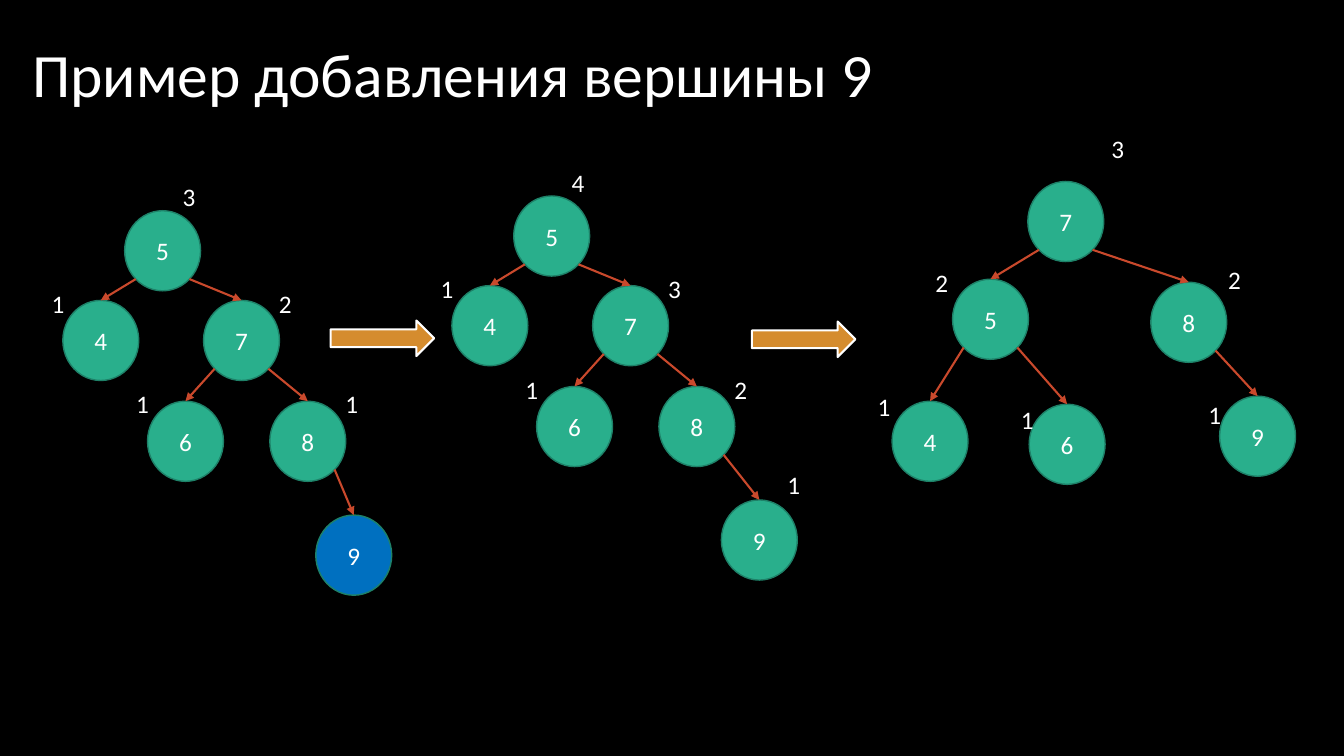
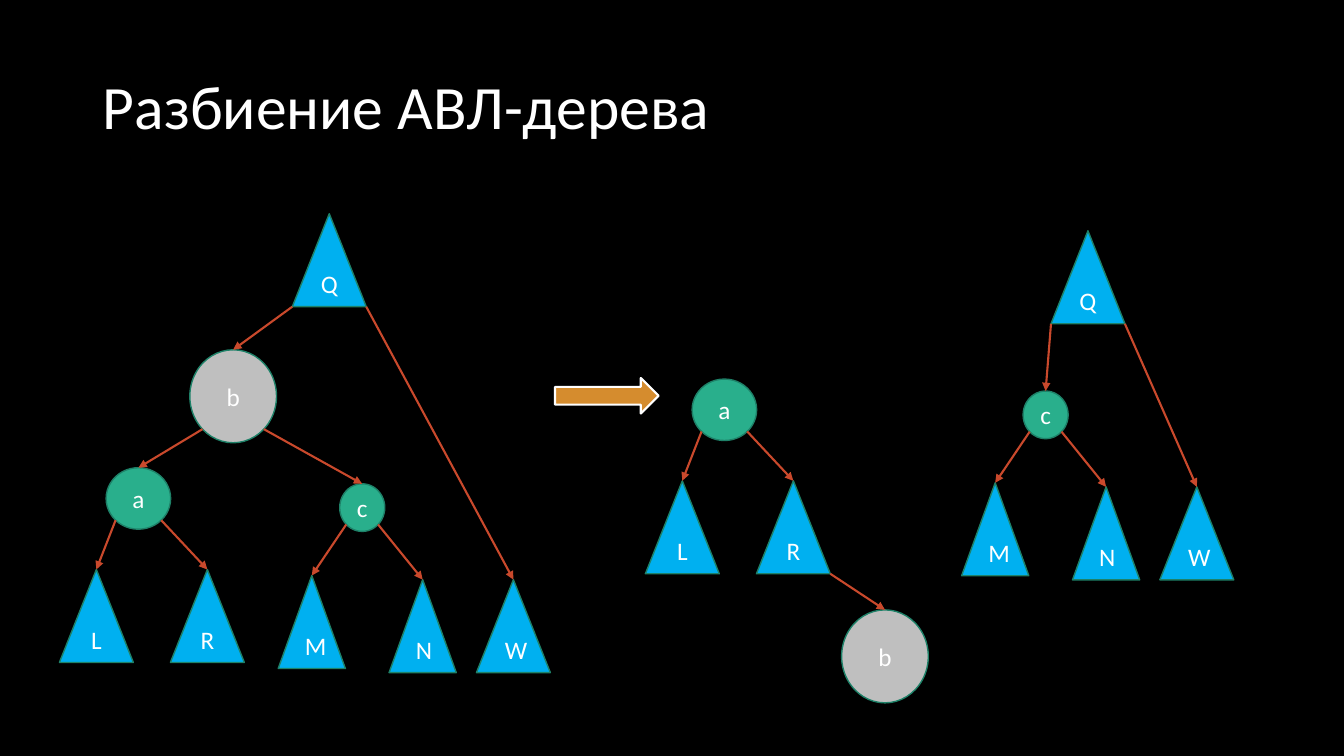
from math import sqrt

from lxml.etree import SubElement
from pptx import Presentation
from pptx.dml.color import RGBColor
from pptx.enum.shapes import MSO_CONNECTOR, MSO_SHAPE
from pptx.enum.text import MSO_ANCHOR, MSO_AUTO_SIZE, PP_ALIGN
from pptx.oxml.ns import qn
from pptx.util import Inches, Pt

WIDE, HIGH = Inches(13.333), Inches(7.5)
FONT = "Calibri"
BLACK, WHITE = "000000", "FFFFFF"
GREEN, RIM, BLUE, SKY, GRAY = "29AF8C", "1E8168", "0070C0", "00B0F0", "BFBFBF"
RED, GOLD = "C9492C", "D58C2E"
DISC, WEDGE = MSO_SHAPE.OVAL, MSO_SHAPE.ISOSCELES_TRIANGLE

# All places and sizes below are percentages of the slide's width and height.
# A node is given by the middle and the height of its top.
BALL = (DISC, 5.65, 10.6, GREEN)
NEW = (DISC, 5.65, 10.6, BLUE)
TENT = (WEDGE, 5.5, 12.3, SKY)
SLIM = (WEDGE, 5, 12.3, SKY)
KINDS = {
    "a": (DISC, 4.8, 8.13, GREEN),
    "b": (DISC, 6.45, 12.3, GRAY),
    "c": (DISC, 3.35, 6.3, GREEN),
    "M": SLIM, "N": SLIM,
    "L": TENT, "R": TENT, "W": TENT, "Q": TENT,
}

FIRST = {"5": (12.1, 27.87), "6": (13.8, 53.07), "4": (7.5, 39.73),
         "7": (17.97, 39.73), "8": (22.9, 53.07)}
LAST = {"7": (79.3, 24), "5": (73.7, 36.93), "4": (69.2, 53.07),
        "6": (79.4, 53.47), "8": (88.45, 37.33), "9": (93.57, 52.4)}
SIDES = {"5": (2, -4.5), "4": (-3.15, -2.3), "6": (-3.15, -2.3),
         "7": (3.3, -2.3), "8": (3.3, -2.3), "9": (2.6, -4.67)}
ENDS = {"7": (3.9, -7.07), "5": (-3.6, -2.27), "4": (-3.38, -2),
        "6": (-2.93, -0.67), "8": (3.45, -3.07), "9": (-3.15, -0.27)}

SMALL = {"a": (10.3, 61.87), "L": (7.17, 75.33), "R": (15.43, 75.33)}
LARGE = {"c": (26.95, 64), "M": (23.2, 76.13), "N": (31.45, 76.67),
         "W": (38.2, 76.67)}


def across(share):
    return round(WIDE * share / 100)


def down(share):
    return round(HIGH * share / 100)


def box(left, top, wide, high):
    return across(left), down(top), across(wide), down(high)


def color(code):
    return RGBColor.from_string(code)


def shift(spots, dx, dy):
    return {name: (x + dx, y + dy) for name, (x, y) in spots.items()}


def write(frame, text, size=18, align=PP_ALIGN.CENTER, space=None):
    para = frame.paragraphs[0]
    para.alignment = align
    para.line_spacing = space
    run = para.add_run()
    run.text = text
    run.font.name = FONT
    run.font.size = Pt(size)
    run.font.color.rgb = color(WHITE)


def start(deck, text, left, top):
    """Add a title-only slide and place its title."""
    slide = deck.slides.add_slide(deck.slide_layouts[5])
    title = slide.shapes.title
    title.left, title.top, title.width, title.height = box(left, top, 86.25, 19.33)
    frame = title.text_frame
    frame.auto_size = MSO_AUTO_SIZE.NONE
    frame.vertical_anchor = MSO_ANCHOR.MIDDLE
    write(frame, text, size=44, align=PP_ALIGN.LEFT, space=0.9)
    return slide


def draw(slide, form, place, fill, line, weight):
    shape = slide.shapes.add_shape(form, *place)
    shape.shadow.inherit = False
    shape.fill.solid()
    shape.fill.fore_color.rgb = color(fill)
    shape.line.color.rgb = color(line)
    shape.line.width = Pt(weight)
    return shape


def node(slide, text, kind, mid, top):
    form, wide, high, fill = kind
    place = box(mid - wide / 2, top, wide, high)
    shape = draw(slide, form, place, fill, RIM, 1)
    write(shape.text_frame, text)
    return shape


def step(slide, left, top):
    """Draw the block arrow that leads to the next tree."""
    draw(slide, MSO_SHAPE.RIGHT_ARROW, box(left, top, 7.7, 4.7), GOLD, WHITE, 1.5)


def foot(shape, side):
    """Give the lower left (-1) or right (1) joint: its x, y and site number."""
    round_one = shape.auto_shape_type == DISC
    reach = sqrt(0.5) if round_one else 1
    x = shape.left + shape.width * (1 + side * reach) / 2
    y = shape.top + shape.height * (1 + reach) / 2
    return round(x), round(y), (4 if round_one else 3) + side


def link(slide, parent, child, side):
    x, y, site = foot(parent, side)
    wire = slide.shapes.add_connector(MSO_CONNECTOR.STRAIGHT, x, y, x, y)
    wire.begin_connect(parent, 0)
    wire.begin_x, wire.begin_y = x, y
    wire.end_connect(child, 0)
    # begin_connect knows four sites only, so the site is set here.
    next(wire._element.iter(qn("a:stCxn"))).set("idx", str(site))
    wire.line.color.rgb = color(RED)
    wire.line.width = Pt(1.5)
    SubElement(wire.line._get_or_add_ln(), qn("a:tailEnd"), type="triangle")
    SubElement(wire._element.spPr, qn("a:effectLst"))


def tree(slide, spots, left, right, kinds):
    """Draw nodes, then links; left and right list parent-child pairs."""
    shapes = {name: node(slide, name, kinds.get(name, BALL), *spot)
              for name, spot in spots.items()}
    for side, pairs in ((-1, left), (1, right)):
        for parent, child in pairs.split():
            link(slide, shapes[parent], shapes[child], side)


def tags(slide, spots, moves, ranks):
    """Write each node's rank beside it; ranks pairs node and rank."""
    wide, high = 2.5, 5.33
    for name, rank in ranks.split():
        (x, y), (dx, dy) = spots[name], moves[name]
        place = box(x + dx - wide / 2, y + dy, wide, high)
        frame = slide.shapes.add_textbox(*place).text_frame
        frame.word_wrap = False
        write(frame, rank, align=PP_ALIGN.LEFT)


def insert(deck):
    slide = start(deck, "Пример добавления вершины 9", 1.65, 0.53)
    left, right = "54 76", "57 78 89"

    spots = FIRST | {"9": (26.32, 68.13)}
    tree(slide, spots, left, right, {"9": NEW})
    tags(slide, spots, SIDES, "81 61 72 41 53")

    spots = shift(FIRST, 28.95, -1.95) | {"9": (56.5, 66.13)}
    tree(slide, spots, left, right, {})
    tags(slide, spots, SIDES, "82 61 73 41 54 91")

    step(slide, 24.6, 42.4)
    step(slide, 55.95, 42.53)

    tree(slide, LAST, "75 54", "78 56 89", {})
    tags(slide, LAST, ENDS, "41 61 91 52 82 73")


def split(deck):
    slide = start(deck, "Разбиение АВЛ-дерева", 6.9, 4.8)
    whole = {"Q": (24.5, 28.27), "b": (17.35, 46.27)} | SMALL | LARGE
    tree(slide, whole, "Qb ba aL cM", "QW bc aR cN", KINDS)

    step(slide, 41.3, 50)

    spots = shift(SMALL, 43.6, -11.73) | {"b": (65.85, 80.67)}
    tree(slide, spots, "aL", "aR Rb", KINDS)

    spots = shift(LARGE, 50.85, -12.27) | {"Q": (80.95, 30.53)}
    tree(slide, spots, "Qc cM", "QW cN", KINDS)


def main():
    deck = Presentation()
    deck.slide_width, deck.slide_height = WIDE, HIGH
    back = deck.slide_master.background.fill
    back.solid()
    back.fore_color.rgb = color(BLACK)
    insert(deck)
    split(deck)
    deck.save("out.pptx")


if __name__ == "__main__":
    main()
